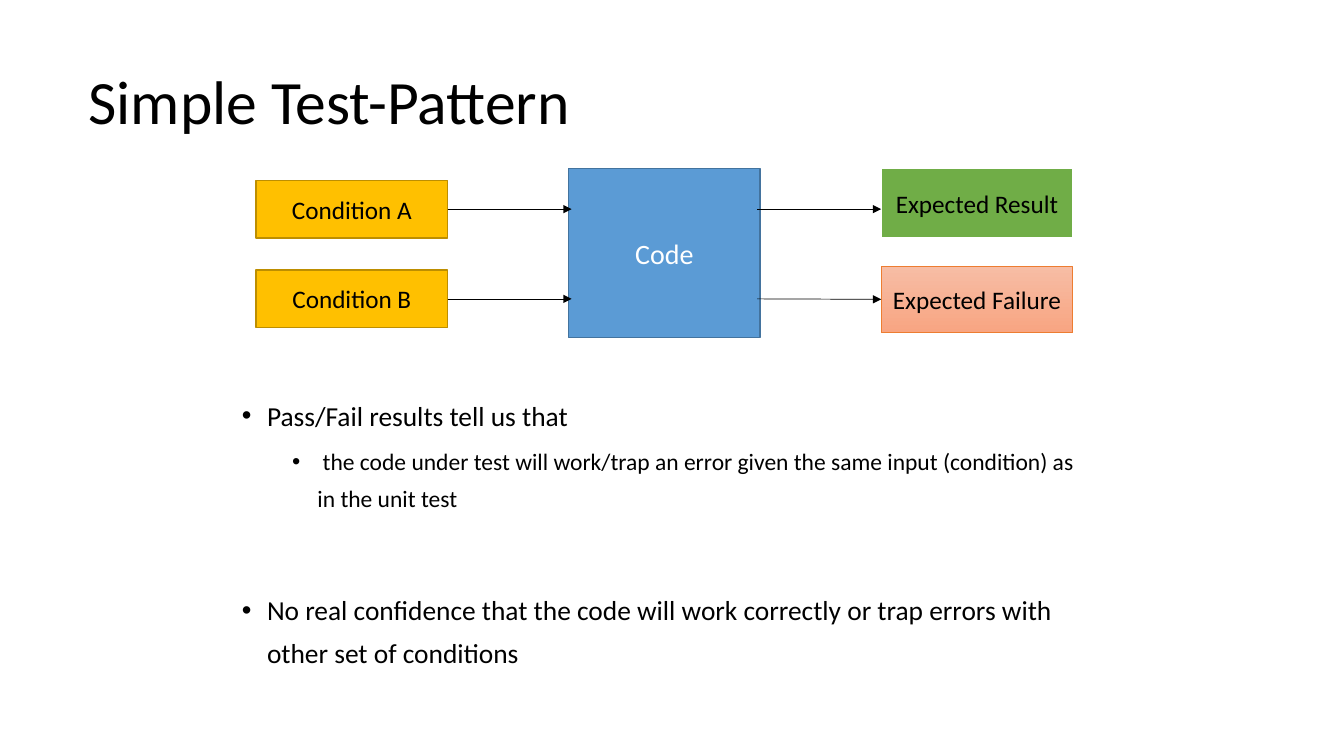
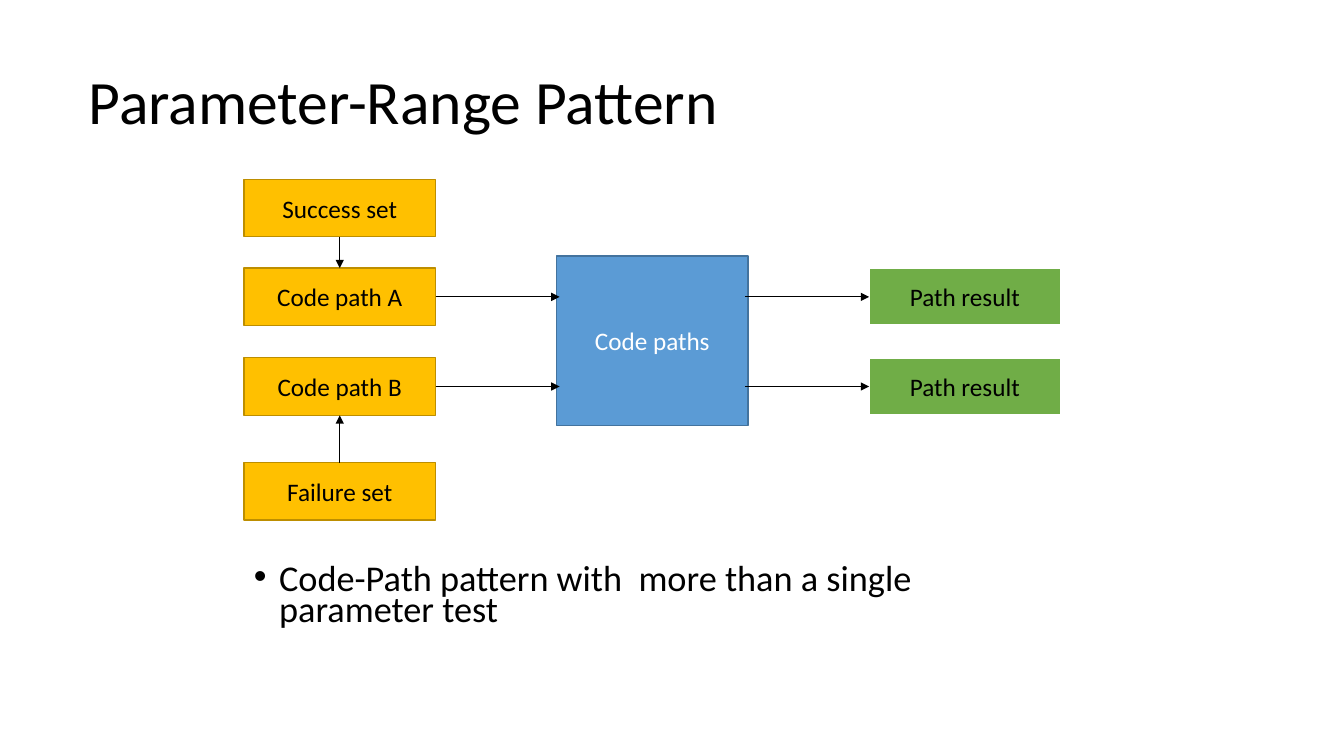
from lxml.etree import SubElement
from pptx import Presentation
from pptx.dml.color import RGBColor
from pptx.enum.shapes import MSO_CONNECTOR as CONN, MSO_SHAPE as SHAPE
from pptx.enum.text import MSO_ANCHOR as ANCHOR, PP_ALIGN as ALIGN
from pptx.oxml.ns import qn
from pptx.util import Inches, Pt

BLACK = RGBColor(0x00, 0x00, 0x00)
WHITE = RGBColor(0xFF, 0xFF, 0xFF)
BLUE = RGBColor(0x5B, 0x9B, 0xD5)
NAVY = RGBColor(0x43, 0x73, 0x9E)
GOLD = RGBColor(0xFF, 0xC0, 0x00)
BRONZE = RGBColor(0xBD, 0x8E, 0x00)
GREEN = RGBColor(0x70, 0xAD, 0x47)
PEACH = RGBColor(0xF7, 0xBD, 0xA5)
SALMON = RGBColor(0xF8, 0xA5, 0x82)
ORANGE = RGBColor(0xED, 0x7D, 0x31)

FONT = "Calibri"
STYLES = {
    "code": ([BLUE], NAVY, 1, WHITE),
    "input": ([GOLD], BRONZE, 1, BLACK),
    "pass": ([GREEN], WHITE, 1.5, BLACK),
    "fail": ([PEACH, SALMON], ORANGE, 0.5, BLACK),
}
TITLE_AT = (0.78, 0.6, 11.56, 0.87)
BOX_W, BOX_H = 1.9, 0.57
COL, ROW = 3.1, 0.89
CODE_RISE, CODE_H = 0.12, 1.68
OVERLAP = 0.03
TOP, LEFT, BOTTOM, RIGHT = range(4)

SLIDES = [
    {
        "title": "Simple Test-Pattern",
        "origin": (2.54, 1.79),
        "code": ("Code", 20),
        "inputs": ["Condition A", "Condition B"],
        "outputs": [("Expected Result", "pass", -0.12, 0.69),
                    ("Expected Failure", "fail", 0.85, 0.66)],
        "feeders": [],
        "body_at": (2.3, 3.81, 8.61, 3.16),
        "spacing": 1.3,
        "bullets": [
            ("Pass/Fail results tell us that", 0, 19.6, 0),
            (" the code under test will work/trap an error given the same input"
             " (condition) as in the unit test", 1, 16.8, 5),
            ("No real confidence that the code will work correctly or trap errors"
             " with other set of conditions", 0, 19.6, 51),
        ],
    },
    {
        "title": "Parameter-Range Pattern",
        "origin": (2.42, 2.66),
        "code": ("Code paths", 18),
        "inputs": ["Code path A", "Code path B"],
        "outputs": [("Path result", "pass", 0, BOX_H),
                    ("Path result", "pass", ROW, BOX_H)],
        "feeders": [("Success set", -0.88, 0, BOTTOM, TOP),
                    ("Failure set", 1.93, 1, TOP, BOTTOM)],
        "body_at": (2.42, 5.58, 7.86, 0.79),
        "spacing": 0.7,
        "bullets": [("Code-Path pattern with  more than a single parameter test", 0, 25.9, 0)],
    },
]


def write(p, text, size, color=BLACK, **formats):
    for name, value in formats.items():
        setattr(p, name, value)
    r = p.add_run()
    r.text = text
    for name, value in {"name": FONT, "size": Pt(size)}.items():
        setattr(r.font, name, value)
    r.font.color.rgb = color


def add_text(s, at):
    tf = s.shapes.add_textbox(*map(Inches, at)).text_frame
    tf.word_wrap = True
    return tf


def add_title(s, text):
    tf = add_text(s, TITLE_AT)
    tf.vertical_anchor = ANCHOR.MIDDLE
    write(tf.paragraphs[0], text, 44, line_spacing=0.9)


def add_bullets(s, at, bullets, spacing):
    tf = add_text(s, at)
    for i, (text, level, size, before) in enumerate(bullets):
        p = tf.add_paragraph() if i else tf.paragraphs[0]
        pPr = p._p.get_or_add_pPr()
        pPr.set("marL", str(Inches(0.25 + 0.5 * level)))
        pPr.set("indent", str(-Inches(0.25)))
        SubElement(pPr, qn("a:buFont")).set("typeface", "Arial")
        SubElement(pPr, qn("a:buChar")).set("char", "•")
        write(p, text, size, level=level, line_spacing=spacing, space_before=Pt(before))


def add_box(s, text, style, x, y, h=BOX_H, size=18):
    fills, line, width, color = STYLES[style]
    sp = s.shapes.add_shape(SHAPE.RECTANGLE, *map(Inches, (x, y, BOX_W, h)))
    sp.shadow.inherit = False
    if len(fills) > 1:
        sp.fill.gradient()
        sp.fill.gradient_angle = 270
        for stop, fill in zip(sp.fill.gradient_stops, fills):
            stop.color.rgb = fill
    else:
        sp.fill.solid()
        sp.fill.fore_color.rgb = fills[0]
    sp.line.color.rgb = line
    sp.line.width = Pt(width)
    tf = sp.text_frame
    tf.word_wrap = True
    tf.vertical_anchor = ANCHOR.MIDDLE
    write(tf.paragraphs[0], text, size, color, alignment=ALIGN.CENTER)
    return sp


def add_arrow(s, start=(0, 0), end=(0, 0), begin_at=None, end_at=None):
    c = s.shapes.add_connector(CONN.STRAIGHT, *map(Inches, start + end))
    if begin_at:
        c.begin_connect(*begin_at)
    if end_at:
        c.end_connect(*end_at)
    c.line.color.rgb = BLACK
    c.line.width = Pt(0.5)
    SubElement(c.line._get_or_add_ln(), qn("a:tailEnd")).set("type", "triangle")
    SubElement(c._element.spPr, qn("a:effectLst"))


def add_diagram(s, d):
    x, y = d["origin"]
    code_x, out_x = x + COL, x + 2 * COL
    label, size = d["code"]
    add_box(s, label, "code", code_x, y - CODE_RISE, CODE_H, size)
    inputs = [add_box(s, text, "input", x, y + i * ROW) for i, text in enumerate(d["inputs"])]
    for i, (text, style, dy, h) in enumerate(d["outputs"]):
        out = add_box(s, text, style, out_x, y + dy, h)
        mid = y + i * ROW + BOX_H / 2
        centred = abs(y + dy + h / 2 - mid) < 0.02
        add_arrow(s, end=(code_x + OVERLAP, mid), begin_at=(inputs[i], RIGHT))
        add_arrow(s, (code_x + BOX_W - OVERLAP, mid), (out_x, mid),
                  end_at=(out, LEFT) if centred else None)
    for text, dy, target, side, target_side in d["feeders"]:
        feeder = add_box(s, text, "input", x, y + dy)
        add_arrow(s, begin_at=(feeder, side), end_at=(inputs[target], target_side))


def main():
    prs = Presentation()
    prs.slide_width, prs.slide_height = Inches(13.33), Inches(7.5)
    for d in SLIDES:
        s = prs.slides.add_slide(prs.slide_layouts[6])
        add_title(s, d["title"])
        add_bullets(s, d["body_at"], d["bullets"], d["spacing"])
        add_diagram(s, d)
    prs.save("out.pptx")


if __name__ == "__main__":
    main()
